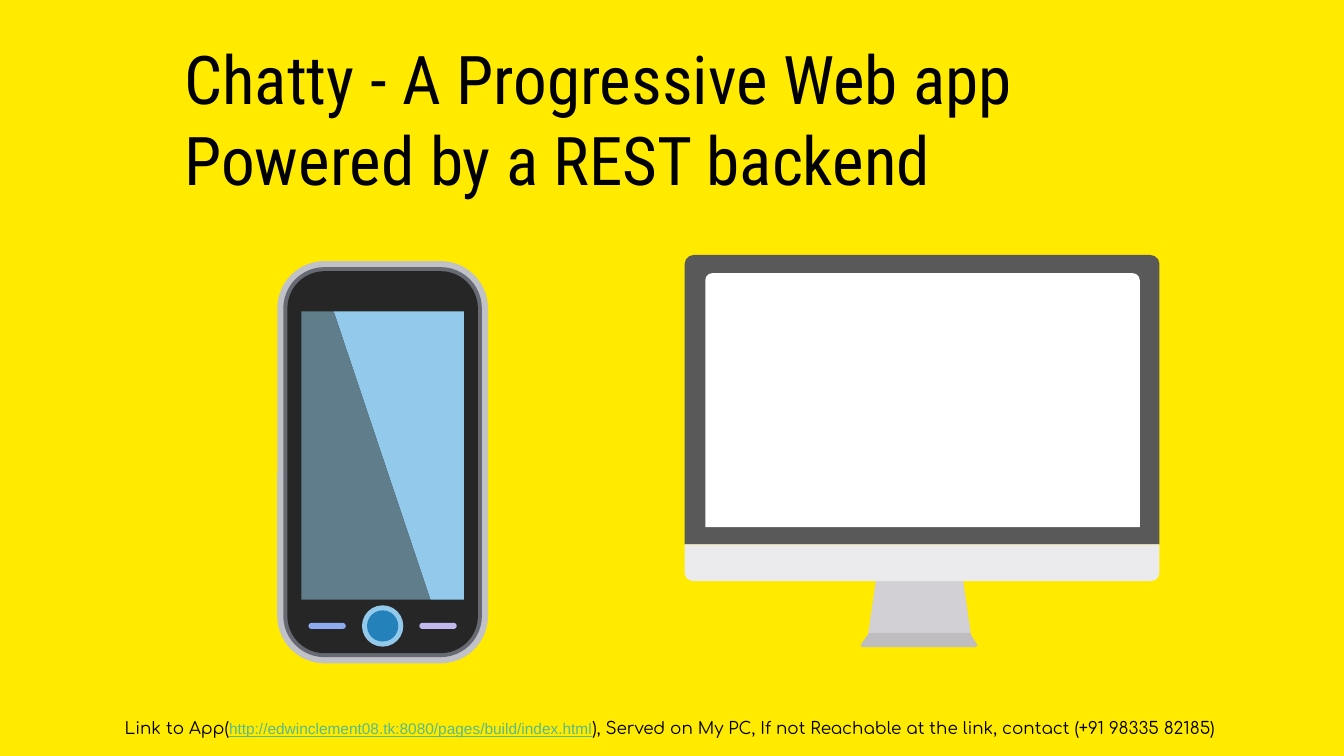
from dataclasses import dataclass

from pptx import Presentation
from pptx.dml.color import RGBColor as Color
from pptx.enum.shapes import MSO_SHAPE as Preset
from pptx.enum.text import MSO_ANCHOR as Anchor, MSO_AUTO_SIZE as AutoSize, PP_ALIGN as Align
from pptx.util import Inches, Pt

WIDTH, HEIGHT = Inches(13.33), Inches(7.5)
COLUMNS, ROWS = 133.3, 75


@dataclass(frozen=True)
class Theme:
    background: str = "FFEA00"
    ink: str = "000000"
    link: str = "57BB8A"
    phone_layers: tuple = ("C1C2C7", "676A72", "262626")
    glass: str = "93C9EA"
    glare: str = "607D8B"
    home: str = "2481BA"
    phone_keys: tuple = ("8EABF1", "C3B7EF")
    stand: str = "D3D0D5"
    foot: str = "BFBDC0"
    bezel: str = "595959"
    chin: str = "EBEAED"
    screen: str = "FFFFFF"
    title_font: str = "Roboto Condensed"
    note_font: str = "Comfortaa"
    link_font: str = "Arial"
    title_size: int = 48
    note_size: int = 12
    link_size: int = 11


THEME = Theme()


def across(columns):
    return round(WIDTH * columns / COLUMNS)


def down(rows):
    return round(HEIGHT * rows / ROWS)


def area(left, top, width, height):
    return across(left), down(top), across(width), down(height)


def paint(shape, color):
    shape.shadow.inherit = False
    shape.fill.solid()
    shape.fill.fore_color.rgb = Color.from_string(color)
    shape.line.fill.background()


def add_preset(group, preset, bounds, color, radii=()):
    shape = group.shapes.add_shape(preset, *area(*bounds))
    for index, radius in enumerate(radii):
        shape.adjustments[index] = radius / min(bounds[2:])
    paint(shape, color)


def add_outline(group, points, color):
    start, *others = [(across(x), down(y)) for x, y in points]
    builder = group.shapes.build_freeform(*start, scale=1.0)
    builder.add_line_segments(others, close=True)
    paint(builder.convert_to_shape(), color)


def add_circle(group, center_x, center_y, size, color):
    bounds = (center_x - size / 2, center_y - size / 2, size, size)
    add_preset(group, Preset.OVAL, bounds, color)


def add_phone(slide):
    phone = slide.shapes.add_group_shape()
    left, top, width, height, radius = 27.5, 25.9, 20.9, 39.9, 4.7
    for inset, color in zip((0, 0.6, 1), THEME.phone_layers):
        bounds = (left + inset, top + inset, width - 2 * inset, height - 2 * inset)
        add_preset(phone, Preset.ROUNDED_RECTANGLE, bounds, color, [radius - inset])

    glass_top, glass_bottom = 30.9, 59.5
    slant = [(33.1, glass_top), (42.7, glass_bottom)]
    add_outline(phone, [*slant, (46, glass_bottom), (46, glass_top)], THEME.glass)
    add_outline(phone, [*slant, (29.9, glass_bottom), (29.9, glass_top)], THEME.glare)

    center_x, key_y = left + width / 2, 62.1
    for size, color in ((4.1, THEME.glass), (3.1, THEME.home)):
        add_circle(phone, center_x, key_y, size, color)
    key_width, key_height = 3.7, 0.6
    for offset, color in zip((-5.5, 5.5), THEME.phone_keys):
        bounds = (center_x + offset - key_width / 2, key_y - key_height / 2, key_width, key_height)
        add_preset(phone, Preset.ROUNDED_RECTANGLE, bounds, color, [key_height / 2])


def add_monitor(slide):
    monitor = slide.shapes.add_group_shape()
    stand = [(86.9, 57.4), (95.5, 57.4), (96.3, 62.9), (86.1, 62.9)]
    foot = [(86.2, 62.8), (96.2, 62.8), (96.95, 64), (96.8, 64.2), (85.5, 64.2), (85.35, 64)]
    add_outline(monitor, stand, THEME.stand)
    add_outline(monitor, foot, THEME.foot)
    for bounds, color, radii in (
        ((67.9, 25.3, 47.1, 28.7), THEME.bezel, (0.9, 0)),
        ((67.9, 54, 47.1, 3.65), THEME.chin, (0, 0.85)),
        ((69.95, 27.1, 43.1, 25.2), THEME.screen, (0.7, 0)),
    ):
        add_preset(monitor, Preset.ROUND_2_SAME_RECTANGLE, bounds, color, radii)


def set_frame(box, align, anchor):
    frame = box.text_frame
    settings = {
        "word_wrap": True,
        "auto_size": AutoSize.NONE,
        "vertical_anchor": anchor,
        "margin_left": Inches(0.1),
        "margin_right": Inches(0.1),
        "margin_top": Inches(0.05),
        "margin_bottom": Inches(0.05),
    }
    for name, value in settings.items():
        setattr(frame, name, value)
    para = frame.paragraphs[0]
    para.alignment = align
    return para


def add_span(para, text, color, **font_format):
    span = para.add_run()
    span.text = text
    for name, value in font_format.items():
        setattr(span.font, name, value)
    span.font.color.rgb = Color.from_string(color)


def fill_title(slide):
    title = slide.shapes.title
    bounds = area(17.3, 1.5, 98.7, 20.4)
    for name, value in zip(("left", "top", "width", "height"), bounds):
        setattr(title, name, value)
    para = set_frame(title, Align.LEFT, Anchor.MIDDLE)
    add_span(para, "Chatty - A Progressive Web app Powered by a REST backend",
             THEME.ink, name=THEME.title_font, size=Pt(THEME.title_size))


def add_contact_note(slide):
    box = slide.shapes.add_textbox(*area(2, 70.7, 129.4, 3.5))
    para = set_frame(box, Align.CENTER, Anchor.TOP)
    note = {"name": THEME.note_font, "size": Pt(THEME.note_size)}
    link = {"name": THEME.link_font, "size": Pt(THEME.link_size), "underline": True}
    add_span(para, "Link to App(", THEME.ink, **note)
    add_span(para, "http://edwinclement08.tk:8080/pages/build/index.html", THEME.link, **link)
    add_span(para, "), Served on My PC, If not Reachable at the link, contact (+91 98335 82185) ",
             THEME.ink, **note)


def main():
    deck = Presentation()
    deck.slide_width, deck.slide_height = WIDTH, HEIGHT
    page = deck.slides.add_slide(deck.slide_layouts.get_by_name("Title Only"))
    page.background.fill.solid()
    page.background.fill.fore_color.rgb = Color.from_string(THEME.background)
    add_phone(page)
    add_monitor(page)
    fill_title(page)
    add_contact_note(page)
    deck.save("out.pptx")


if __name__ == "__main__":
    main()
